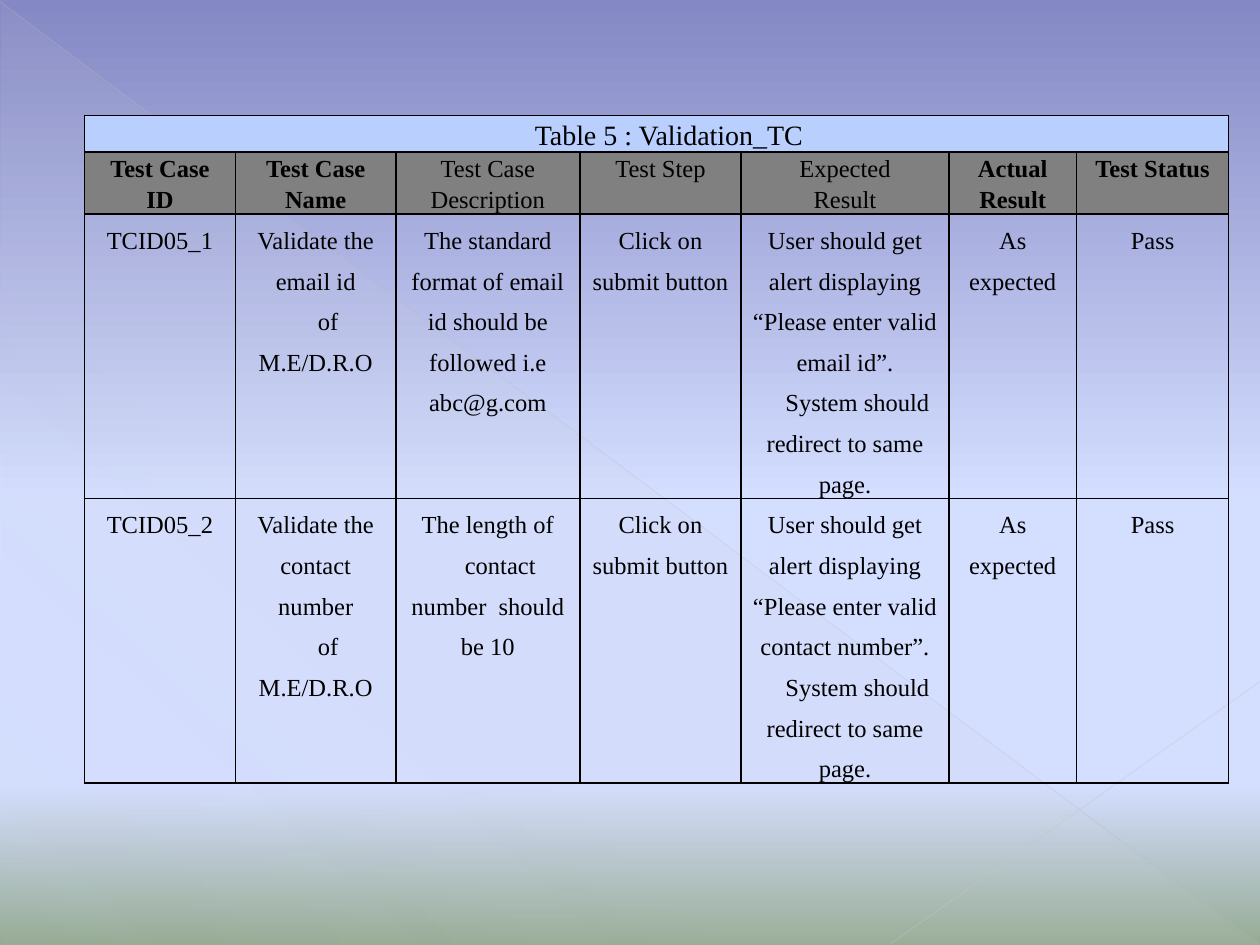
from lxml import etree
from pptx import Presentation
from pptx import util as u
from pptx.dml.color import RGBColor
from pptx.enum import shapes, text
from pptx.oxml import ns

TITLE = "Table 5 : Validation_TC"
HEADERS = [
    (["Test Case", "ID"], True),
    (["Test Case Name"], True),
    (["Test Case", "Description"], False),
    (["Test Step"], False),
    (["Expected", "Result"], False),
    (["Actual", "Result"], True),
    (["Test Status"], True),
]
STEP = ["Click on submit button"]
REDIRECT = "System should redirect to same page."
OWNER = "of M.E/D.R.O"
CASES = [
    [["TCID05_1"],
     ["Validate the email id", OWNER],
     ["The standard format of email id should be followed i.e abc@g.com"],
     STEP,
     ["User should get alert displaying “Please enter valid email id”.", REDIRECT],
     ["As expected"], ["Pass"]],
    [["TCID05_2"],
     ["Validate the contact number", OWNER],
     ["The length of", "contact number  should be 10"],
     STEP,
     ["User should get alert displaying “Please enter valid contact number”.", REDIRECT],
     ["As expected"], ["Pass"]],
]

THEME = {
    "font": "Times New Roman",
    "ink": "000000",
    "border": 1,
    "title": {"size": 16, "spacing": 1.15, "fill": "B9D0FF", "indents": (0.5, 0)},
    "header": {"size": 14, "spacing": 1.15, "fill": "808080", "indents": (0, 0)},
    "case": {"size": 14, "spacing": 1.5, "fill": None, "indents": (0, 0.5)},
    "sky": [(0, "8488C4", 100), (53, "D4DEFF", 100), (83, "D4DEFF", 100), (100, "96AB94", 100)],
    "sheen": [(0, "D2D2D2", 10), (70, "D2D2D2", 8), (100, "D2D2D2", 1)],
}
RAYS = [
    ((0, 0.03), (25.37, 19.02), "BFBFBF", 0.39, 35),
    ((25.4, 13.74), (17.96, 19.02), "C6C6C6", 0.47, 45),
]
TABLE_LEFT, TABLE_TOP = 1.7, 2.33
COLUMNS = [3.05, 3.23, 3.71, 3.25, 4.19, 2.57, 3.07]
ROWS = [0.73, 1.24, 5.73, 5.73]


def add_node(parent, tag, **attributes):
    """Append a DrawingML element with the given attributes."""
    values = {key: str(value) for key, value in attributes.items()}
    return etree.SubElement(parent, ns.qn(f"a:{tag}"), values)


def add_color(parent, color, opacity=100):
    """Append an RGB colour with its opacity in percent."""
    node = add_node(parent, "srgbClr", val=color)
    if opacity < 100:
        add_node(node, "alpha", val=opacity * 1000)


def paint_gradient(fill, owner, stops, angle):
    """Give a fill the listed gradient stops and direction."""
    fill.gradient()
    gradient = next(owner.iter(ns.qn("a:gradFill")))
    for child in list(gradient):
        gradient.remove(child)
    stop_list = add_node(gradient, "gsLst")
    for position, color, opacity in stops:
        add_color(add_node(stop_list, "gs", pos=position * 1000), color, opacity)
    add_node(gradient, "lin", ang=angle * 60000, scaled=0)


def draw_backdrop(slide):
    """Paint the sky, the triangular sheen and the thin rays."""
    paint_gradient(slide.background.fill, slide.element, THEME["sky"], 90)
    sheen = slide.shapes.add_shape(
        shapes.MSO_SHAPE.RIGHT_TRIANGLE, u.Cm(0.03), u.Cm(0.05), u.Cm(25.35), u.Cm(19))
    sheen.shadow.inherit = False
    sheen.line.fill.background()
    paint_gradient(sheen.fill, sheen.element.spPr, THEME["sheen"], 133)
    for start, end, color, width, opacity in RAYS:
        ray = slide.shapes.add_connector(
            shapes.MSO_CONNECTOR.STRAIGHT, *(u.Cm(value) for value in start + end))
        ray.line.width = u.Pt(width)
        ray.line.color.rgb = RGBColor.from_string(color)
        tint = next(ray.element.iter(ns.qn("a:srgbClr")))
        add_node(tint, "alpha", val=opacity * 1000)
        add_node(ray.element.spPr, "effectLst")


def fill_cell(cell, paragraphs, style, bold=False):
    """Write and format one table cell."""
    margins = {"margin_left": 0.15, "margin_right": 0.15, "margin_top": 0, "margin_bottom": 0}
    for name, value in margins.items():
        setattr(cell, name, u.Cm(value))
    frame = cell.text_frame
    frame.text = "\n".join(paragraphs)
    font_format = {"name": THEME["font"], "size": u.Pt(style["size"]), "bold": bold}
    for paragraph, indent in zip(frame.paragraphs, style["indents"]):
        paragraph.alignment = text.PP_ALIGN.CENTER
        paragraph.line_spacing = style["spacing"]
        properties = paragraph._p.get_or_add_pPr()
        properties.set("marL", "0")
        properties.set("indent", str(u.Cm(indent)))
        font = paragraph.runs[0].font
        for name, value in font_format.items():
            setattr(font, name, value)
        font.color.rgb = RGBColor.from_string(THEME["ink"])
    cell_properties = cell._tc.get_or_add_tcPr()
    for side in ("lnL", "lnR", "lnT", "lnB"):
        edge = add_node(cell_properties, side, w=u.Pt(THEME["border"]))
        add_color(add_node(edge, "solidFill"), THEME["ink"])
    if style["fill"]:
        cell.fill.solid()
        cell.fill.fore_color.rgb = RGBColor.from_string(style["fill"])
    else:
        cell.fill.background()


def draw_test_cases(slide):
    """Build the validation table."""
    table = slide.shapes.add_table(
        len(ROWS), len(COLUMNS), u.Cm(TABLE_LEFT), u.Cm(TABLE_TOP),
        u.Cm(sum(COLUMNS)), u.Cm(sum(ROWS))).table
    table.first_row = table.horz_banding = False
    for column, width in zip(table.columns, COLUMNS):
        column.width = u.Cm(width)
    for row, height in zip(table.rows, ROWS):
        row.height = u.Cm(height)
    table.cell(0, 0).merge(table.cell(0, len(COLUMNS) - 1))
    for index, (heading, bold) in enumerate(HEADERS):
        title = [TITLE] if index == 0 else []
        fill_cell(table.cell(0, index), title, THEME["title"]) if title else None
        fill_cell(table.cell(1, index), heading, THEME["header"], bold)
    for row, case in enumerate(CASES, start=2):
        for index, paragraphs in enumerate(case):
            fill_cell(table.cell(row, index), paragraphs, THEME["case"])


def main():
    """Create the slide and save it."""
    deck = Presentation()
    deck.slide_width, deck.slide_height = u.Cm(25.4), u.Cm(19.05)
    slide = deck.slides.add_slide(deck.slide_layouts[6])
    draw_backdrop(slide)
    draw_test_cases(slide)
    deck.save("out.pptx")


if __name__ == "__main__":
    main()
